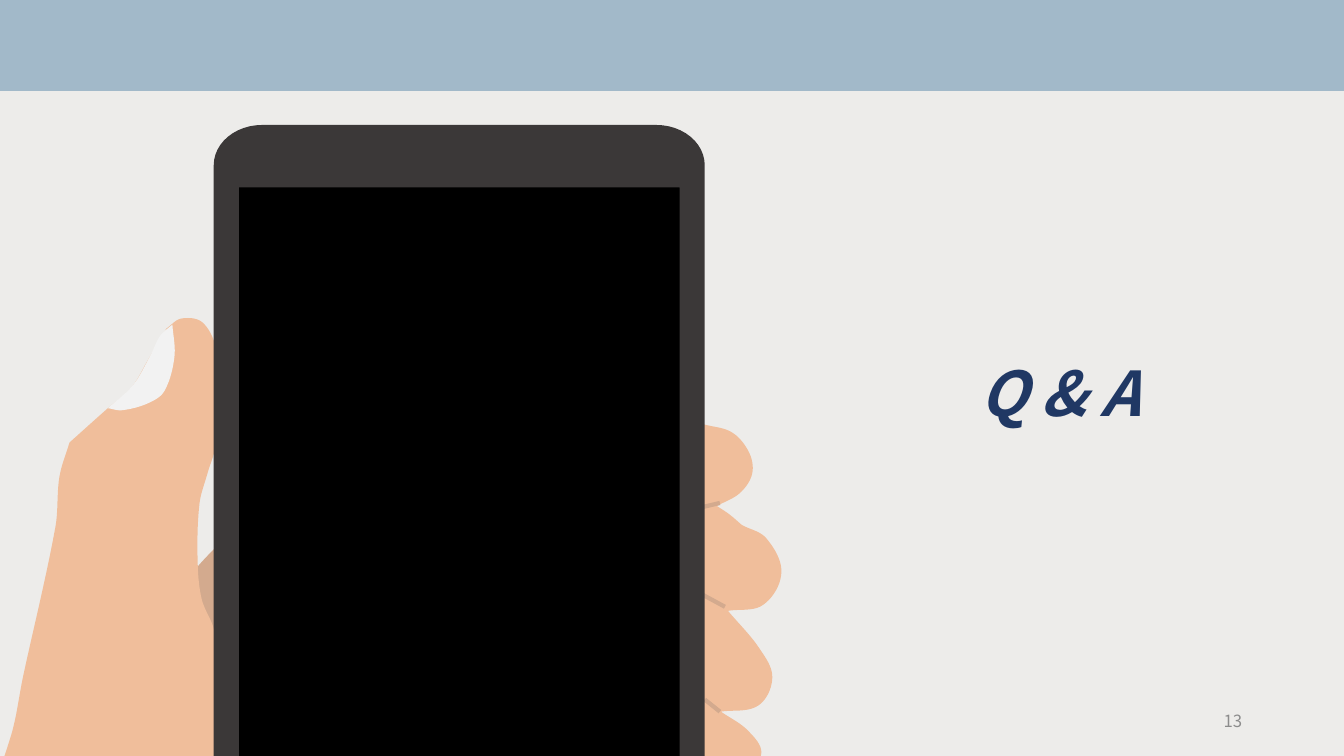
import itertools
import math

import pptx
import pptx.dml.color
import pptx.enum.shapes
import pptx.enum.text
import pptx.util
from lxml import etree

Inches, Pt = pptx.util.Inches, pptx.util.Pt
SHAPES, TEXT = pptx.enum.shapes, pptx.enum.text

# Content: lengths in inches, boxes as left, top, width, height
W, H = 13.33, 7.5
FONT = "Noto Sans CJK KR"
COLORS = dict(wall="EDECEA", band="A2B9C9", skin="F0BE9B", shade="D3AA8E",
              nail="F2F2F2", case="3B3838", screen="000000",
              title="203864", number="8C8C8C")
BAND_STOP = 0.88

# Phone: the case is a rounded box with a square opening over the screen
case_box, case_radii = (2.12, 1.24, 4.87, 8.46), (0.48, 0.4)
opening_box = (2.37, 1.86, 4.37, 7.17)
screen_box = (2.3, 1.75, 4.67, 7.44)

# Hand: each outline is a chain of named parts, drawn smooth or straight.
# A part starts where the part before it ends, so only the first lists its start.
SMOOTH, STRAIGHT = "smooth", "straight"
palm = dict(
    heel=(SMOOTH, [(2.38, 6.77), (2.3, 6.76), (1.83, 6.49), (1.77, 5.92), (2.3, 5.25)]),
    hidden_side=(STRAIGHT, [(2.38, 5.21)]),
)
fingers = dict(
    index=(SMOOTH, [(6.98, 4.21), (7.26, 4.29), (7.43, 4.49), (7.46, 4.7),
                    (7.34, 4.89), (7.11, 5.02)]),
    middle_base=(SMOOTH, [(7.23, 5.1), (7.36, 5.21)]),
    middle=(SMOOTH, [(7.6, 5.34), (7.75, 5.68), (7.57, 6), (7.22, 6.06)]),
    ring=(SMOOTH, [(7.53, 6.43), (7.66, 6.72), (7.52, 7), (7.15, 7.06)]),
    little=(SMOOTH, [(7.42, 7.25), (7.55, 7.48), (7.34, 7.8), (6.88, 7.9)]),
    hidden_side=(STRAIGHT, [(6.8, 6.77), (6.8, 6.45), (6.97, 5)]),
)
thumb = dict(
    tip=(SMOOTH, [(1.65, 3.26), (1.8, 3.16), (2.01, 3.2), (2.15, 3.47),
                  (2.19, 3.85), (2.14, 4.42), (2.06, 4.69)]),
    inner_side=(SMOOTH, [(1.98, 4.99), (1.96, 5.54), (2, 5.94), (2.13, 6.28), (2.23, 7.5)]),
    wrist=(STRAIGHT, [(2.12, 9), (2.96, 9.51), (1.26, 10.31), (-0.87, 8.4)]),
    outer_side=(SMOOTH, [(-0.14, 7.85), (0.1, 7.33), (0.23, 6.71), (0.55, 5.23),
                         (0.59, 4.73), (0.69, 4.39)]),
    knuckle=(SMOOTH, [(1.07, 4.05), (1.3, 3.85), (1.48, 3.55), (1.65, 3.26)]),
)
nail = dict(
    right_side=(SMOOTH, [(1.71, 3.22), (1.73, 3.54), (1.63, 3.88), (1.47, 4),
                         (1.21, 4.07), (1.07, 4.05)]),
    left_side=(SMOOTH, [(1.32, 3.82), (1.49, 3.53), (1.59, 3.33), (1.71, 3.22)]),
)
creases = [(7.14, 4.99, 6.97, 5.03), (7.19, 6.02, 6.95, 5.89), (7.14, 7.06, 6.99, 6.94)]

labels = [
    dict(text="Q & A", box=(7.8, 3.11, 5.42, 1.07), color="title",
         font=dict(size=Pt(44), bold=True, italic=True),
         paragraph=dict(alignment=TEXT.PP_ALIGN.CENTER, line_spacing=1.5),
         frame=dict(auto_size=TEXT.MSO_AUTO_SIZE.SHAPE_TO_FIT_TEXT)),
    dict(text="13", box=(9.42, 6.95, 3, 0.4), color="number",
         font=dict(size=Pt(12)),
         paragraph=dict(alignment=TEXT.PP_ALIGN.RIGHT),
         frame=dict(vertical_anchor=TEXT.MSO_ANCHOR.MIDDLE)),
]


def rgb(name):
    return pptx.dml.color.RGBColor.from_string(COLORS[name])


def apply(target, values):
    for name, value in values.items():
        setattr(target, name, value)


# Geometry: every function returns a list of (x, y) in inches
def bezier(a, b, c, d, steps=10):
    """Points after a, up to and including d."""
    points = []
    for i in range(1, steps + 1):
        t = i / steps
        u = 1 - t
        weights = (u ** 3, 3 * u * u * t, 3 * u * t * t, t ** 3)
        points.append(tuple(sum(w * v for w, v in zip(weights, axis))
                            for axis in zip(a, b, c, d)))
    return points


def smooth(knots):
    """A curve through all knots; at each one it runs parallel to its neighbours."""
    headings = []
    for before, after in zip(knots[:1] + knots[:-1], knots[1:] + knots[-1:]):
        length = math.dist(before, after)
        headings.append([(q - p) / length for p, q in zip(before, after)])
    points = knots[:1]
    for (a, b), (u, v) in zip(itertools.pairwise(knots), itertools.pairwise(headings)):
        reach = math.dist(a, b) / 3
        leave = [p + reach * h for p, h in zip(a, u)]
        arrive = [p - reach * h for p, h in zip(b, v)]
        points += bezier(a, leave, arrive, b)
    return points


def chain(parts):
    points = []
    for kind, knots in parts.values():
        knots = points[-1:] + knots
        points = points[:-1] + (smooth(knots) if kind == SMOOTH else knots)
    return points


def rounded_box(box, radii=(0, 0), steps=12):
    """Four quarter ellipses, clockwise from the right end of the bottom side."""
    left, top, width, height = box
    rx, ry = radii
    right, bottom = left + width - rx, top + height - ry
    left, top = left + rx, top + ry
    centres = [(right, bottom), (left, bottom), (left, top), (right, top)]
    points = []
    for quarter, (x, y) in enumerate(centres):
        for i in range(steps + 1):
            angle = (quarter + i / steps) * math.pi / 2
            points.append((x + rx * math.cos(angle), y + ry * math.sin(angle)))
    return list(dict.fromkeys(points))


# Drawing
def paint(sp, color):
    sp.shadow.inherit = False
    sp.fill.solid()
    sp.fill.fore_color.rgb = rgb(color)
    sp.line.fill.background()


def draw(color, *outlines):
    """Fill the first outline; any further ones are cut out of it."""
    builder = None
    for outline in outlines:
        start, *rest = [(Inches(x), Inches(y)) for x, y in outline]
        if builder is None:
            builder = s.shapes.build_freeform(*start)
        else:
            builder.move_to(*start)
        builder.add_line_segments(rest, close=True)
    paint(builder.convert_to_shape(), color)


prs = pptx.Presentation()
prs.slide_width, prs.slide_height = Inches(W), Inches(H)
s = prs.slides.add_slide(prs.slide_layouts[6])

# Background: wall and top band meet in a hard edge
bg = s.background.fill
bg.gradient()
bg.gradient_angle = 90
for stop, color in zip(bg.gradient_stops, ("wall", "band")):
    stop.color.rgb = rgb(color)
    stop.position = BAND_STOP

# Hand and screen, from back to front
draw("shade", chain(palm))
screen = s.shapes.add_shape(SHAPES.MSO_SHAPE.RECTANGLE, *map(Inches, screen_box))
paint(screen, "screen")
screen.line.color.rgb = rgb("screen")
screen.line.width = Pt(1)
for part in (fingers, thumb):
    draw("skin", chain(part))
for ends in creases:
    crease = s.shapes.add_connector(SHAPES.MSO_CONNECTOR.STRAIGHT, *map(Inches, ends))
    crease.line.color.rgb = rgb("shade")
    crease.line.width = Pt(3)
    etree.SubElement(crease._element.spPr, pptx.oxml.ns.qn("a:effectLst"))
draw("nail", chain(nail))

# Title and page number
for label in labels:
    tf = s.shapes.add_textbox(*map(Inches, label["box"])).text_frame
    p = tf.paragraphs[0]
    r = p.add_run()
    r.text = label["text"]
    apply(tf, dict(label["frame"], word_wrap=True))
    apply(p, label["paragraph"])
    apply(r.font, dict(label["font"], name=FONT))
    r.font.color.rgb = rgb(label["color"])

# Phone case in front
draw("case", rounded_box(case_box, case_radii), rounded_box(opening_box))

prs.save("out.pptx")
